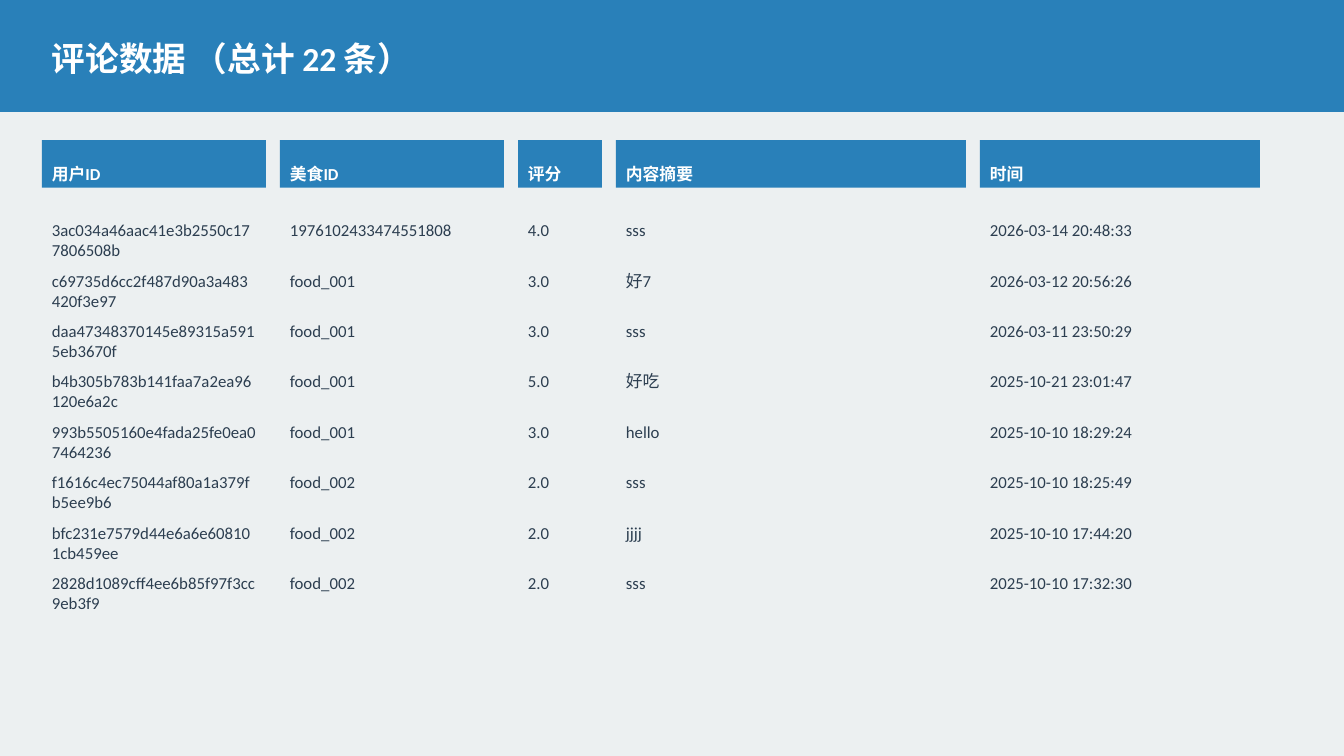
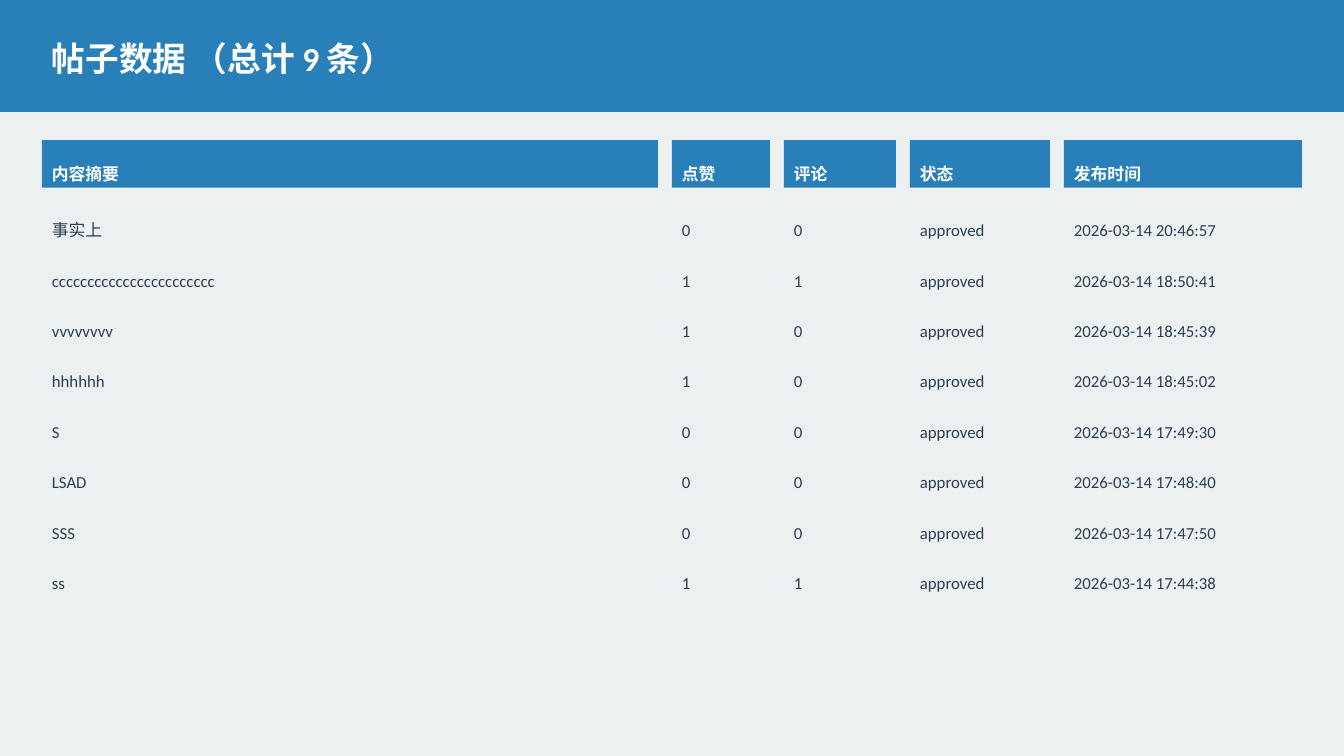
from pptx import Presentation
from pptx.dml.color import RGBColor
from pptx.enum.shapes import MSO_SHAPE
from pptx.enum.text import MSO_ANCHOR, PP_ALIGN
from pptx.util import Pt

RECTANGLE = MSO_SHAPE.RECTANGLE
TOP = MSO_ANCHOR.TOP
LEFT = PP_ALIGN.LEFT

BLUE = RGBColor(0x29, 0x80, 0xB9)
PALE = RGBColor(0xEC, 0xF0, 0xF1)
INK = RGBColor(0x2C, 0x3E, 0x50)
WHITE = RGBColor(0xFF, 0xFF, 0xFF)
FONT = "Calibri"

SLIDE_W, SLIDE_H = 960, 540
BAND_H = 80
MARGIN = 30
GAP = 10
HEADER_TOP = 100
ROWS_TOP = 140
ROW_PITCH = 36
CELL_H = 34
TEXT_DROP = 17

COMMENTS = {
    "title": "评论数据 （总计 22 条）",
    "columns": [("用户ID", 160), ("美食ID", 160), ("评分", 60),
                ("内容摘要", 250), ("时间", 200)],
    "rows": [
        ("3ac034a46aac41e3b2550c177806508b", "1976102433474551808", "4.0", "sss", "2026-03-14 20:48:33"),
        ("c69735d6cc2f487d90a3a483420f3e97", "food_001", "3.0", "好7", "2026-03-12 20:56:26"),
        ("daa47348370145e89315a5915eb3670f", "food_001", "3.0", "sss", "2026-03-11 23:50:29"),
        ("b4b305b783b141faa7a2ea96120e6a2c", "food_001", "5.0", "好吃", "2025-10-21 23:01:47"),
        ("993b5505160e4fada25fe0ea07464236", "food_001", "3.0", "hello", "2025-10-10 18:29:24"),
        ("f1616c4ec75044af80a1a379fb5ee9b6", "food_002", "2.0", "sss", "2025-10-10 18:25:49"),
        ("bfc231e7579d44e6a6e608101cb459ee", "food_002", "2.0", "jjjj", "2025-10-10 17:44:20"),
        ("2828d1089cff4ee6b85f97f3cc9eb3f9", "food_002", "2.0", "sss", "2025-10-10 17:32:30"),
    ],
}

POSTS = {
    "title": "帖子数据 （总计 9 条）",
    "columns": [("内容摘要", 440), ("点赞", 70), ("评论", 80),
                ("状态", 100), ("发布时间", 170)],
    "rows": [
        ("事实上", "0", "0", "approved", "2026-03-14 20:46:57"),
        ("ccccccccccccccccccccccc", "1", "1", "approved", "2026-03-14 18:50:41"),
        ("vvvvvvvv", "1", "0", "approved", "2026-03-14 18:45:39"),
        ("hhhhhh", "1", "0", "approved", "2026-03-14 18:45:02"),
        ("S", "0", "0", "approved", "2026-03-14 17:49:30"),
        ("LSAD", "0", "0", "approved", "2026-03-14 17:48:40"),
        ("SSS", "0", "0", "approved", "2026-03-14 17:47:50"),
        ("ss", "1", "1", "approved", "2026-03-14 17:44:38"),
    ],
}


def write(shape, text, size, color, bold=False):
    frame = shape.text_frame
    frame.word_wrap = True
    frame.vertical_anchor = TOP
    frame.margin_top = Pt(TEXT_DROP)
    frame.text = text
    paragraph = frame.paragraphs[0]
    paragraph.alignment = LEFT
    font = paragraph.runs[0].font
    font.name = FONT
    font.size = Pt(size)
    font.bold = bold
    font.color.rgb = color


def add_block(slide, left, top, width, height):
    block = slide.shapes.add_shape(RECTANGLE, Pt(left), Pt(top), Pt(width), Pt(height))
    block.shadow.inherit = False
    block.fill.solid()
    block.fill.fore_color.rgb = BLUE
    block.line.fill.background()
    return block


def add_label(slide, left, top, width, height, text, size, color, bold=False):
    label = slide.shapes.add_textbox(Pt(left), Pt(top), Pt(width), Pt(height))
    write(label, text, size, color, bold)


def add_title_band(slide, title):
    add_block(slide, 0, 0, SLIDE_W, BAND_H)
    add_label(slide, MARGIN, GAP, SLIDE_W - 2 * MARGIN, BAND_H - 2 * GAP,
              title, 24, WHITE, True)


def add_column(slide, left, width, heading, values):
    header = add_block(slide, left, HEADER_TOP, width, CELL_H)
    write(header, heading, 12, WHITE, True)
    for row, value in enumerate(values):
        add_label(slide, left, ROWS_TOP + row * ROW_PITCH, width, CELL_H, value, 12, INK)


def add_data_slide(prs, data):
    slide = prs.slides.add_slide(prs.slide_layouts[6])
    add_title_band(slide, data["title"])
    left = MARGIN
    for (heading, width), values in zip(data["columns"], zip(*data["rows"])):
        add_column(slide, left, width, heading, values)
        left += width + GAP


def main():
    prs = Presentation()
    prs.slide_width, prs.slide_height = Pt(SLIDE_W), Pt(SLIDE_H)
    backdrop = prs.slide_master.background.fill
    backdrop.solid()
    backdrop.fore_color.rgb = PALE
    for data in (COMMENTS, POSTS):
        add_data_slide(prs, data)
    prs.save("out.pptx")


if __name__ == "__main__":
    main()
